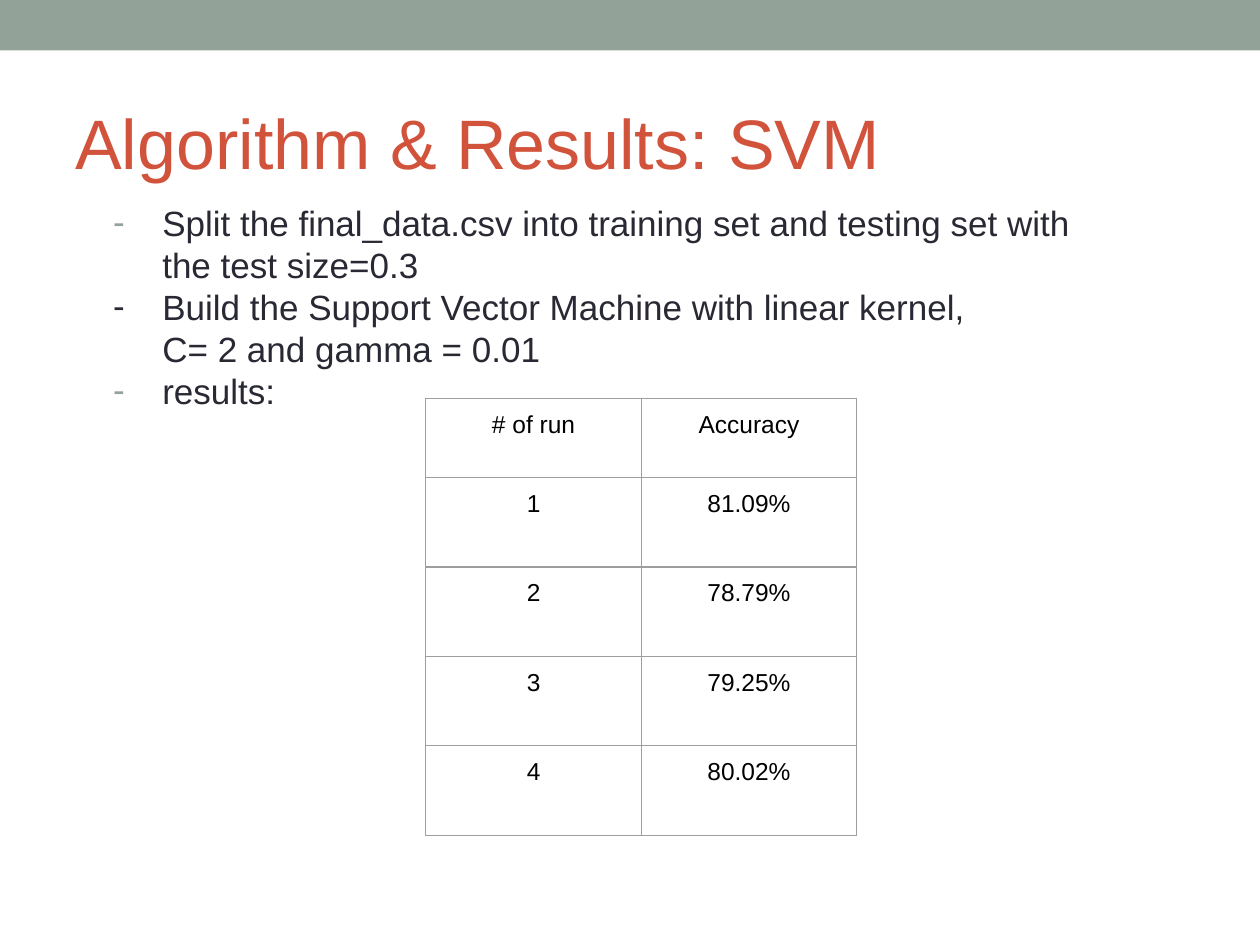
from lxml import etree
from pptx import Presentation
from pptx.dml.color import RGBColor
from pptx.enum import shapes, text
from pptx.oxml import ns
from pptx.util import Inches, Pt

COLORS = {
    "band": "93A299",
    "title": "D2533C",
    "body": "292934",
    "cell": "000000",
    "border": "9E9E9E",
}
FONT = "Arial"

STEPS = [
    ("Split the final_data.csv into training set and testing set with "
     "the test size=0.3", "band"),
    ("Build the Support Vector Machine with linear kernel, \v"
     "C= 2 and gamma = 0.01", "body"),
    ("results:", "band"),
]
RESULTS = [
    ("# of run", "Accuracy"),
    ("1", "81.09%"),
    ("2", "78.79%"),
    ("3", "79.25%"),
    ("4", "80.02%"),
]


def rgb(name):
    return RGBColor.from_string(COLORS[name])


def style_runs(paragraph, size, color):
    for run in paragraph.runs:
        run.font.name = FONT
        run.font.size = Pt(size)
        run.font.color.rgb = rgb(color)


def add_solid_fill(parent, color):
    fill = etree.SubElement(parent, ns.qn("a:solidFill"))
    etree.SubElement(fill, ns.qn("a:srgbClr"), val=COLORS[color])


def set_dash(paragraph, color):
    """Give the paragraph a hanging dash bullet in the named colour."""
    props = paragraph._p.get_or_add_pPr()
    props.set("marL", str(Inches(0.5)))
    props.set("indent", str(Inches(-0.39)))
    bullet_color = etree.SubElement(props, ns.qn("a:buClr"))
    etree.SubElement(bullet_color, ns.qn("a:srgbClr"), val=COLORS[color])
    etree.SubElement(props, ns.qn("a:buFont"), typeface=FONT)
    etree.SubElement(props, ns.qn("a:buChar"), char="-")


def set_borders(cell):
    props = cell._tc.get_or_add_tcPr()
    for index, side in enumerate(("lnL", "lnR", "lnT", "lnB")):
        line = etree.Element(ns.qn(f"a:{side}"), w=str(Pt(0.75)))
        add_solid_fill(line, "border")
        props.insert(index, line)


def add_band(slide, left, top, width, height):
    band = slide.shapes.add_shape(
        shapes.MSO_SHAPE.RECTANGLE, left, top, width, height)
    band.shadow.inherit = False
    band.fill.solid()
    band.fill.fore_color.rgb = rgb("band")
    band.line.fill.background()


def add_title(slide, left, top, width, height):
    frame = slide.shapes.add_textbox(left, top, width, height).text_frame
    frame.word_wrap = True
    frame.vertical_anchor = text.MSO_ANCHOR.MIDDLE
    frame.text = "Algorithm & Results: SVM"
    style_runs(frame.paragraphs[0], 40, "title")


def add_steps(slide, left, top, width, height):
    frame = slide.shapes.add_textbox(left, top, width, height).text_frame
    frame.word_wrap = True
    for index, (step, dash_color) in enumerate(STEPS):
        paragraph = frame.add_paragraph() if index else frame.paragraphs[0]
        paragraph.text = step
        set_dash(paragraph, dash_color)
        style_runs(paragraph, 20, "body")


def add_results(slide, left, top, width, header_height, row_height):
    rows, columns = len(RESULTS), len(RESULTS[0])
    height = header_height + row_height * (rows - 1)
    table = slide.shapes.add_table(
        rows, columns, left, top, width, height).table
    for column in table.columns:
        column.width = width // columns
    for index, values in enumerate(RESULTS):
        table.rows[index].height = row_height if index else header_height
        for cell, value in zip(table.rows[index].cells, values):
            cell.margin_left = cell.margin_right = Inches(0.1)
            cell.margin_top = cell.margin_bottom = Inches(0.1)
            cell.fill.background()
            set_borders(cell)
            cell.text_frame.text = value
            paragraph = cell.text_frame.paragraphs[0]
            paragraph.alignment = text.PP_ALIGN.CENTER
            style_runs(paragraph, 14, "cell")


def main():
    deck = Presentation()
    deck.slide_width, deck.slide_height = Inches(10), Inches(7.5)
    slide = deck.slides.add_slide(deck.slide_layouts[6])
    add_band(slide, 0, 0, deck.slide_width, Inches(0.4))
    add_title(slide, Inches(0.5), Inches(0.58), Inches(9), Inches(1.08))
    add_steps(slide, Inches(0.69), Inches(1.55), Inches(8.06), Inches(5.09))
    add_results(slide, Inches(3.38), Inches(3.16), Inches(3.42),
                Inches(0.63), Inches(0.71))
    deck.save("out.pptx")


if __name__ == "__main__":
    main()
